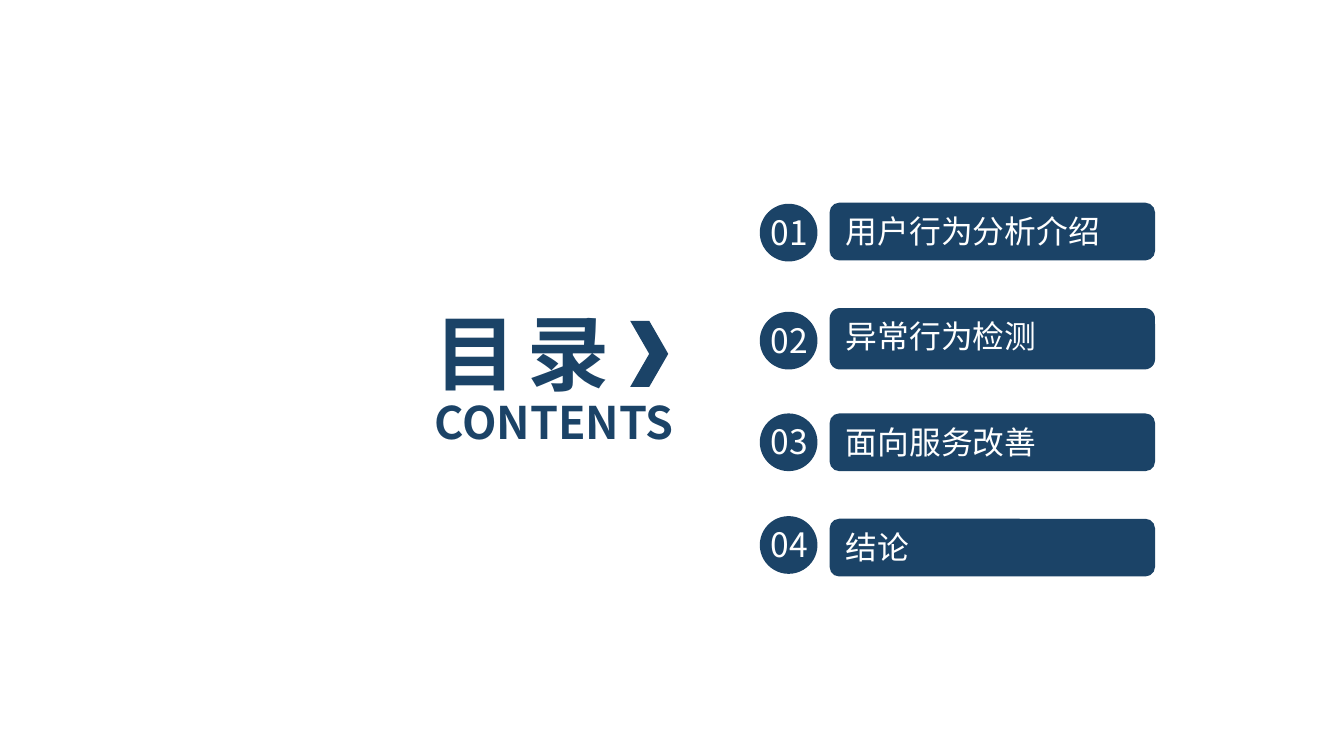
import dataclasses

import pptx
import pptx.dml.color
import pptx.enum.shapes
import pptx.enum.text
import pptx.oxml.ns
import pptx.util
from lxml import etree

Cm = pptx.util.Cm
SHAPE = pptx.enum.shapes.MSO_SHAPE
ALIGN = pptx.enum.text.PP_ALIGN


@dataclasses.dataclass(frozen=True)
class Theme:
    """Colours, font and type sizes of the deck."""
    navy: str = "1B4367"
    white: str = "FFFFFF"
    font: str = "Noto Sans CJK SC"
    title: int = 44
    subtitle: int = 24
    number: int = 18
    item: int = 17


THEME = Theme()


def write(sp, text, size, color, bold=False, align=ALIGN.LEFT, spacing=0):
    """Write one vertically centred run into a shape."""
    tf = sp.text_frame
    tf.word_wrap = True
    tf.auto_size = pptx.enum.text.MSO_AUTO_SIZE.NONE
    tf.vertical_anchor = pptx.enum.text.MSO_ANCHOR.MIDDLE
    p = tf.paragraphs[0]
    p.alignment = align
    r = p.add_run()
    r.text = text
    r.font.size = pptx.util.Pt(size)
    r.font.bold = bold
    r.font.name = THEME.font
    r.font.color.rgb = pptx.dml.color.RGBColor.from_string(color)
    rpr = r.font._element
    etree.SubElement(rpr, pptx.oxml.ns.qn("a:ea"), typeface=THEME.font)
    if spacing:
        rpr.set("spc", str(round(spacing * 100)))


def add_solid(shapes, kind, x, y, w, h):
    """Add a flat navy shape without outline."""
    sp = shapes.add_shape(kind, Cm(x), Cm(y), Cm(w), Cm(h))
    sp.shadow.inherit = False
    sp.fill.solid()
    sp.fill.fore_color.rgb = pptx.dml.color.RGBColor.from_string(THEME.navy)
    sp.line.fill.background()
    return sp


def add_heading(s, x, y, w, h):
    """Place the title, its chevron and the subtitle in the box."""
    sp = s.shapes.title
    sp.left, sp.top, sp.width, sp.height = Cm(x), Cm(y), Cm(w), Cm(2.13)
    write(sp, "目 录", THEME.title, THEME.navy, bold=True, spacing=-2.2)
    sp = s.shapes.add_textbox(Cm(x), Cm(y + h - 1.27), Cm(w), Cm(1.27))
    write(sp, "CONTENTS", THEME.subtitle, THEME.navy, bold=True)
    add_solid(s.shapes, SHAPE.CHEVRON, x + 3.95, y + 0.49, 0.72, 1.25)


def add_number(s, text, x, y, size):
    """Place a numbered disc as one group."""
    group = s.shapes.add_group_shape()
    add_solid(group.shapes, SHAPE.OVAL, x, y, size, size)
    sp = group.shapes.add_textbox(Cm(x - 0.1), Cm(y + 0.02), Cm(size + 0.23), Cm(1.02))
    write(sp, text, THEME.number, THEME.white, align=ALIGN.CENTER)


def add_agenda(s, items, x, y, w, pitch):
    """Place the rows of discs and bars from the top of the box down."""
    disc, indent = 1.09, 1.32
    for i, (text, height, shift) in enumerate(items):
        top = y + i * pitch
        bar = add_solid(s.shapes, SHAPE.ROUNDED_RECTANGLE, x + indent, top, w - indent, height)
        write(bar, text, THEME.item, THEME.white)
        bar.text_frame.margin_bottom = Cm(height - 0.93)
        add_number(s, f"{i + 1:02d}", x, top + shift, disc)


def main():
    """Build the contents slide."""
    prs = pptx.Presentation()
    prs.slide_width, prs.slide_height = Cm(25.4), Cm(14.28)
    s = prs.slides.add_slide(prs.slide_layouts[5])
    add_heading(s, x=7.96, y=5.57, w=5.95, h=3.02)
    items = [
        ("用户行为分析介绍", 1.09, 0.02),
        ("异常行为检测", 1.16, 0.07),
        ("面向服务改善", 1.09, 0),
        ("结论", 1.09, -0.05),
    ]
    add_agenda(s, items, x=14.36, y=3.83, w=7.47, pitch=1.99)
    prs.save("out.pptx")


if __name__ == "__main__":
    main()
